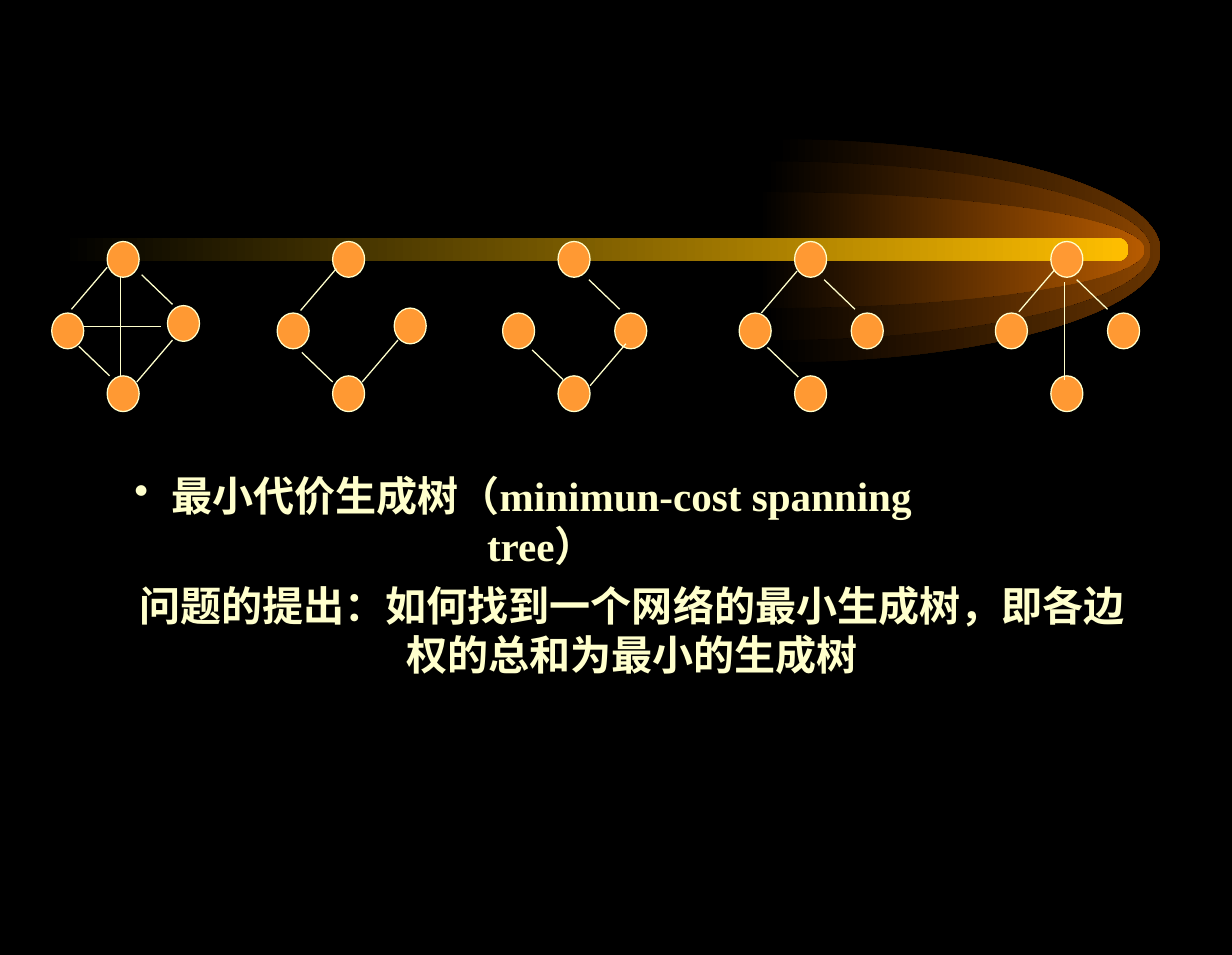
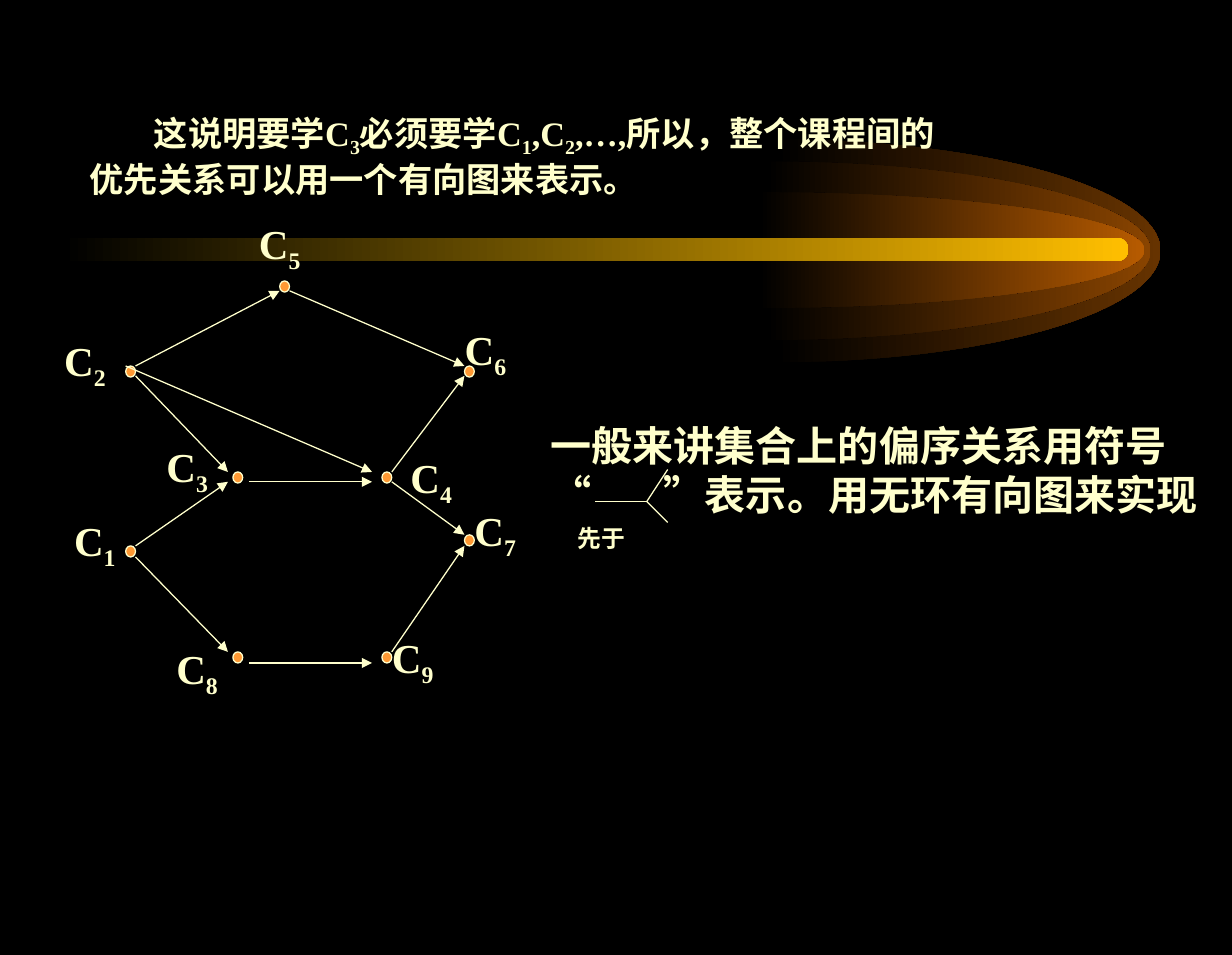
from lxml.etree import SubElement
from pptx import Presentation
from pptx.dml.color import RGBColor
from pptx.enum.shapes import MSO_CONNECTOR, MSO_SHAPE
from pptx.enum.text import MSO_ANCHOR, PP_ALIGN
from pptx.oxml.ns import qn
from pptx.util import Inches, Pt

BLACK = RGBColor(0x00, 0x00, 0x00)
CREAM = RGBColor(0xFF, 0xFF, 0xCC)
ORANGE = RGBColor(0xFF, 0x99, 0x33)
GOLD = RGBColor(0xFF, 0xBF, 0x00)
# Comet tail, back to front: left, top, height, colour
TAIL_WIDTH = 3.13
TAILS = [
    (6.29, 1.13, 1.81, RGBColor(0x66, 0x33, 0x00)),
    (6.21, 1.31, 1.45, RGBColor(0x89, 0x44, 0x00)),
    (6.16, 1.56, 0.94, RGBColor(0xB7, 0x5B, 0x00)),
]
ARC = 0.55  # handle length of a quarter ellipse, as a share of its radius
FONT = "Times New Roman"
SUBSCRIPT, SUPERSCRIPT = -25000, 30000

# Spanning trees: left edge, right node (offset, top), rising, falling and straight edges
RISE, FALL = (0.29, -0.34), (0.25, 0.24)
TREES = [
    (0.42, (0.94, 2.48), [(0.58, 2.51), (1.11, 3.1)], [(0.64, 2.81), (1.15, 2.23)],
     [(0.98, 2.25, 0.98, 3.05), (0.68, 2.65, 1.31, 2.65)]),
    (2.25, (0.95, 2.5), [(2.44, 2.52), (2.94, 3.1)], [(2.45, 2.86)], []),
    (4.08, (0.91, 2.54), [(4.79, 3.13)], [(4.32, 2.84), (4.78, 2.27)], []),
    (6.0, (0.91, 2.54), [(6.18, 2.54)], [(6.23, 2.82), (6.69, 2.27)], []),
    (8.08, (0.91, 2.54), [(8.27, 2.53)], [(8.74, 2.27)], [(8.64, 2.29, 8.64, 3.08)]),
]

# Courses: number, node corner, label corner
COURSES = [
    (1, (1.02, 4.43), (0.5, 4.13)),
    (2, (1.02, 2.97), (0.42, 2.67)),
    (3, (1.89, 3.83), (1.25, 3.53)),
    (4, (3.1, 3.83), (3.23, 3.62)),
    (5, (2.27, 2.28), (2, 1.72)),
    (6, (3.77, 2.97), (3.67, 2.58)),
    (7, (3.77, 4.34), (3.75, 4.05)),
    (8, (1.89, 5.29), (1.33, 5.17)),
    (9, (3.1, 5.29), (3.08, 5.08)),
]
PREREQUISITES = [
    (1.1, 2.97, 2.27, 2.36), (1.02, 2.97, 3.02, 3.83), (1.1, 3.05, 1.85, 3.83),
    (2.02, 3.91, 3.02, 3.91), (2.35, 2.36, 3.77, 2.97), (3.18, 3.83, 3.77, 3.05),
    (3.18, 3.91, 3.77, 4.34), (1.1, 4.43, 1.85, 3.91), (1.1, 4.52, 1.85, 5.29),
    (2.02, 5.38, 3.02, 5.38), (3.18, 5.29, 3.77, 4.43),
]
PRECEDES_SIGN = [
    (4.83, 4.07, 5.25, 4.07), (5.25, 4.07, 5.42, 3.81), (5.25, 4.07, 5.42, 4.24),
]


def add_span(para, text, size=24, bold=True, color=CREAM, baseline=0):
    """Append text to a paragraph in the given format."""
    span = para.add_run()
    span.text = text
    span.font.name = FONT
    span.font.size = Pt(size)
    span.font.bold = bold
    span.font.color.rgb = color
    if baseline:
        span.font._element.set("baseline", str(baseline))


class Painter:
    """Holds the deck style and the current page."""

    def __init__(self, deck):
        self.deck = deck
        self.layout = deck.slide_layouts[6]
        self.page = None

    def new_page(self):
        first = self.page is None
        self.page = self.deck.slides.add_slide(self.layout)
        if first:
            self.dress_layout()

    def dress_layout(self):
        """Draw the comet once and move it to the layout that all pages share."""
        background = self.layout.background.fill
        background.solid()
        background.fore_color.rgb = BLACK
        for left, top, height, color in TAILS:
            self.tail(left, top, height, color)
        beam = self.page.shapes.add_shape(
            MSO_SHAPE.ROUNDED_RECTANGLE, Inches(0.5), Inches(1.93), Inches(8.66), Inches(0.19))
        beam.adjustments[0] = 0.5
        self.glow(beam, color=GOLD)
        for shape in list(self.page.shapes):
            self.layout.shapes._spTree.append(shape._element)

    def tail(self, left, top, height, color):
        """Right half of an ellipse: two straight sides bent into quarter arcs."""
        middle, right = top + height / 2, left + TAIL_WIDTH
        corners = [(left, top), (right, middle), (left, top + height)]
        points = [(Inches(x), Inches(y)) for x, y in corners]
        builder = self.page.shapes.build_freeform(*points[0])
        builder.add_line_segments(points[1:], close=True)
        shape = builder.convert_to_shape()
        reach, radius = Inches(TAIL_WIDTH), Inches(height / 2)
        handles = [
            [(reach * ARC, 0), (reach, radius * (1 - ARC))],
            [(reach, radius * (1 + ARC)), (reach * ARC, radius * 2)],
        ]
        sides = list(shape._element.iter(qn("a:lnTo")))
        for side, pair in zip(sides, handles):
            side.tag = qn("a:cubicBezTo")
            for place, (x, y) in enumerate(pair):
                handle = SubElement(side, qn("a:pt"), x=str(int(x)), y=str(int(y)))
                side.insert(place, handle)
        self.glow(shape, color)

    def glow(self, shape, color):
        """Fade from black on the left to the colour on the right."""
        shape.shadow.inherit = False
        shape.line.fill.background()
        shape.fill.gradient()
        shape.fill.gradient_angle = 0
        for stop, position, tone in zip(shape.fill.gradient_stops, (0, 1), (BLACK, color)):
            stop.position = position
            stop.color.rgb = tone

    def node(self, left, top, width, height):
        node = self.page.shapes.add_shape(
            MSO_SHAPE.OVAL, Inches(left), Inches(top), Inches(width), Inches(height))
        node.shadow.inherit = False
        node.fill.solid()
        node.fill.fore_color.rgb = ORANGE
        node.line.color.rgb = CREAM
        node.line.width = Pt(0.75)

    def edge(self, *ends, arrow=False):
        edge = self.page.shapes.add_connector(
            MSO_CONNECTOR.STRAIGHT, *[Inches(value) for value in ends])
        edge.line.color.rgb = CREAM
        edge.line.width = Pt(0.75)
        if arrow:
            SubElement(edge.line._get_or_add_ln(), qn("a:tailEnd"), type="triangle")
        SubElement(edge._element.spPr, qn("a:effectLst"))

    def text(self, left, top, width, height, lines, size=24, align=PP_ALIGN.LEFT,
             anchor=MSO_ANCHOR.TOP, wrap=False, inset=0.1):
        """Each line is a list of (text, baseline) pairs; returns the paragraphs."""
        box = self.page.shapes.add_textbox(
            Inches(left), Inches(top), Inches(width), Inches(height))
        frame = box.text_frame
        frame.word_wrap = wrap
        frame.vertical_anchor = anchor
        frame.margin_left = frame.margin_right = Inches(inset)
        for number, line in enumerate(lines):
            para = frame.add_paragraph() if number else frame.paragraphs[0]
            para.alignment = align
            for words, baseline in line:
                add_span(para, words, size=size, baseline=baseline)
        return frame.paragraphs

    def indent(self, para, first, left=0.0):
        properties = para._p.get_or_add_pPr()
        properties.set("marL", str(Inches(left)))
        properties.set("indent", str(Inches(first)))
        return properties

    def bullet(self, para, hang):
        properties = self.indent(para, first=-hang, left=hang)
        color = SubElement(properties, qn("a:buClr"))
        SubElement(color, qn("a:srgbClr"), val=str(CREAM))
        SubElement(properties, qn("a:buChar"), char="•")

    def tab_stop(self, para, position):
        tabs = SubElement(para._p.get_or_add_pPr(), qn("a:tabLst"))
        SubElement(tabs, qn("a:tab"), pos=str(Inches(position)), algn="l")


def spanning_tree_page(painter):
    painter.new_page()
    # Full graph and its spanning trees
    for left, (right, right_top), rises, falls, straights in TREES:
        for offset, top in [(0, 2.54), (0.45, 1.96), (right, right_top), (0.45, 3.05)]:
            painter.node(left + offset, top, 0.26, 0.29)
        for starts, (across, down) in ((rises, RISE), (falls, FALL)):
            for x, y in starts:
                painter.edge(x, y, x + across, y + down)
        for ends in straights:
            painter.edge(*ends)
    # Definition and question
    style = {"align": PP_ALIGN.CENTER, "anchor": MSO_ANCHOR.MIDDLE}
    term = painter.text(0.48, 3.97, 7.53, 0.5,
                        [[("最小代价生成树（minimun-cost spanning tree）", 0)]],
                        wrap=True, inset=0.3, **style)
    painter.bullet(term[0], hang=0.3)
    painter.text(1.03, 4.66, 8.2, 0.9,
                 [[("问题的提出：如何找到一个网络的最小生成树，即各边", 0)],
                  [("权的总和为最小的生成树", 0)]], **style)


def course_order_page(painter):
    painter.new_page()
    # Introduction
    intro = painter.text(0.63, 0.86, 7.33, 0.8, [
        [("这说明要学C", 0), ("3", SUBSCRIPT), ("必须要学C", 0), ("1", SUBSCRIPT),
         (",C", 0), ("2", SUBSCRIPT), (",…,所以，整个课程间的", 0)],
        [("优先关系可以用一个有向图来表示。", 0)],
    ], size=20)
    painter.indent(intro[0], first=0.52)
    # Course graph
    for number, node_corner, label_corner in COURSES:
        painter.node(*node_corner, 0.08, 0.09)
        painter.text(*label_corner, 0.54, 0.56, [[("C", 0), (str(number), SUBSCRIPT)]],
                     align=PP_ALIGN.CENTER)
    for ends in PREREQUISITES:
        painter.edge(*ends, arrow=True)
    # Partial order and its sign
    order = painter.text(4.37, 3.36, 5.47, 1.3, [
        [("一般来讲集合上的偏序关系用符号", 0)],
        [("“\t”表示。用无环有向图来实现", 0)],
        [("先于", SUPERSCRIPT)],
    ])
    painter.tab_stop(order[1], 0.92)
    painter.indent(order[2], first=0.22)
    for ends in PRECEDES_SIGN:
        painter.edge(*ends)


def main():
    deck = Presentation()
    deck.slide_width, deck.slide_height = Inches(10), Inches(7.75)
    painter = Painter(deck)
    spanning_tree_page(painter)
    course_order_page(painter)
    deck.save("out.pptx")


if __name__ == "__main__":
    main()
